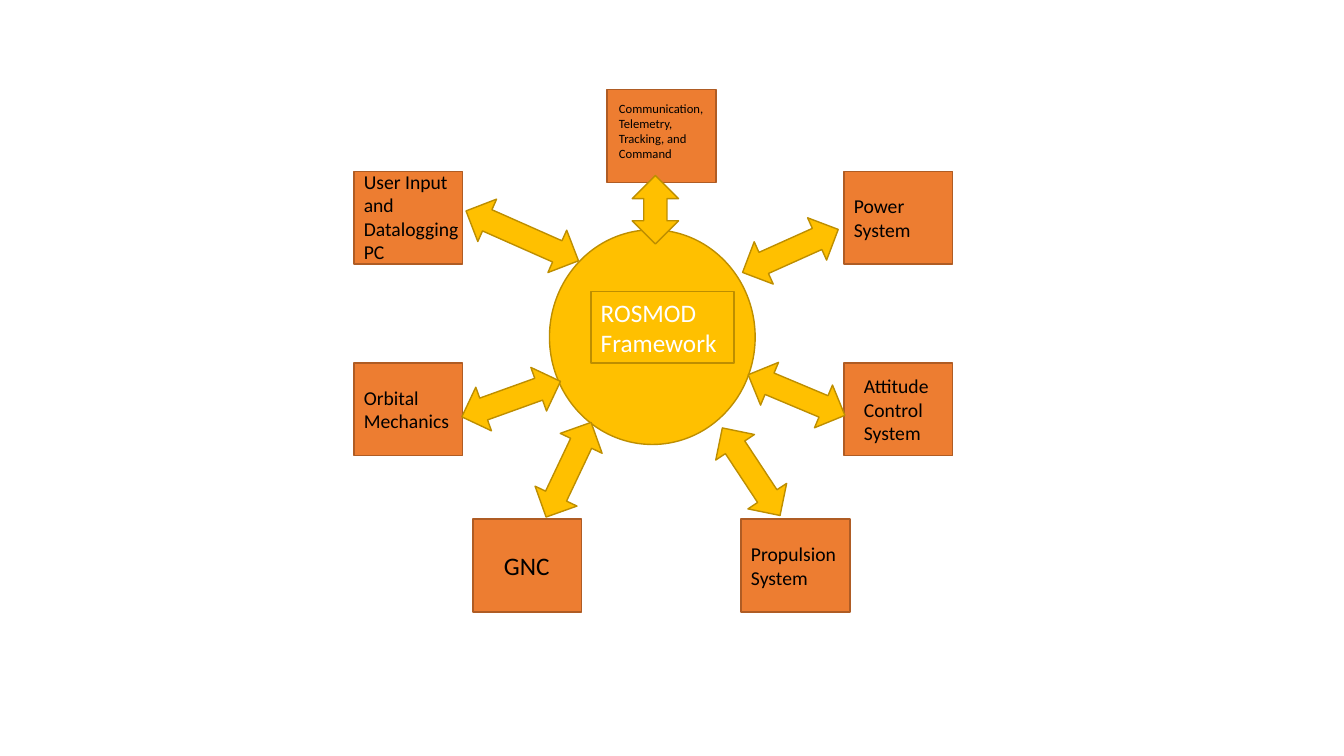
import pptx
import pptx.util
import pptx.dml.color
import pptx.enum.shapes
import pptx.enum.text
from dataclasses import dataclass

KIND = pptx.enum.shapes.MSO_SHAPE
CELL = 0.1  # inches per grid column and row


@dataclass(frozen=True)
class Theme:
    font: str = "Calibri"
    box: str = "ED7D31"
    rim: str = "AF5C24"
    gold: str = "FFC000"
    edge: str = "BD8E00"
    ink: str = "000000"
    white: str = "FFFFFF"
    big: int = 18
    mid: int = 14
    small: int = 9
    line: int = 1


THEME = Theme()
BOX_W, BOX_H, ARM_H = 10.8, 9.2, 4.6

# Module: lines, left, top, label shift (x, y), label width and height, size
MODULES = [
    (["GNC"], 46.9, 51.5, (2.1, 0), 6.5, 4, THEME.big),
    (["Orbital Mechanics"], 35.1, 36, (0, 0), BOX_W, 5.7, THEME.mid),
    (["Power System"], 83.7, 17, (0, 0), BOX_W, 5.7, THEME.mid),
    (["Propulsion System"], 73.5, 51.5, (0, 0), BOX_W, 5.7, THEME.mid),
    (["Attitude Control System"], 83.7, 36, (1, 0), BOX_W, 8.1, THEME.mid),
    (["Communication, Telemetry, Tracking, and Command"],
     60.2, 8.9, (0.2, -0.5), BOX_W, 7.1, THEME.small),
    (["User Input and ", "Datalogging PC"],
     35.1, 17, (0, -0.1), 12.1, 10.4, THEME.mid),
]

# Arrow: centre column, centre row, length, turn in degrees
ARROWS = [
    (51.8, 23.4, 12.2, 23.9),
    (50.7, 39.6, 10.4, -19.8),
    (56.4, 46.6, 10.4, -64.6),
    (74.5, 46.8, 10.4, 56.6),
    (79, 39.2, 10.4, 22.8),
    (78.4, 24.9, 10.4, -24.2),
    (65, 20.8, 6.8, 90),
]


def grid(*cells):
    return [pptx.util.Inches(n * CELL) for n in cells]


def tint(code):
    return pptx.dml.color.RGBColor.from_string(code)


def shape(host, kind, x, y, w, h, fill, line):
    item = host.shapes.add_shape(kind, *grid(x, y, w, h))
    item.shadow.inherit = False
    item.fill.solid()
    item.fill.fore_color.rgb = tint(fill)
    item.line.color.rgb = tint(line)
    item.line.width = pptx.util.Pt(THEME.line)
    return item


def write(item, lines, size, color):
    frame = item.text_frame
    frame.word_wrap = True
    frame.auto_size = pptx.enum.text.MSO_AUTO_SIZE.SHAPE_TO_FIT_TEXT
    frame.vertical_anchor = pptx.enum.text.MSO_ANCHOR.MIDDLE
    frame.text = "\n".join(lines)
    for para in frame.paragraphs:
        para.alignment = pptx.enum.text.PP_ALIGN.LEFT
        for run in para.runs:
            run.font.name = THEME.font
            run.font.size = pptx.util.Pt(size)
            run.font.color.rgb = tint(color)


def module(slide, lines, x, y, shift, w, h, size):
    group = slide.shapes.add_group_shape()
    shape(group, KIND.RECTANGLE, x, y, BOX_W, BOX_H, THEME.box, THEME.rim)
    top = y + (BOX_H - h) / 2 + shift[1]
    label = group.shapes.add_textbox(*grid(x + shift[0], top, w, h))
    write(label, lines, size=size, color=THEME.ink)


def hub(slide):
    group = slide.shapes.add_group_shape()
    shape(group, KIND.OVAL, 54.5, 22.8, 20.4, 21.3, THEME.gold, THEME.edge)
    label = shape(group, KIND.RECTANGLE, 58.6, 28.9, 14.2, 7.1,
                  THEME.gold, THEME.edge)
    write(label, ["ROSMOD Framework"], size=THEME.big, color=THEME.white)


def arrow(slide, x, y, length, turn):
    item = shape(slide, KIND.LEFT_RIGHT_ARROW, x - length / 2, y - ARM_H / 2,
                 length, ARM_H, THEME.gold, THEME.edge)
    item.rotation = turn


def main():
    deck = pptx.Presentation()
    deck.slide_width, deck.slide_height = grid(133.3, 75)
    slide = deck.slides.add_slide(deck.slide_layouts[6])

    # Subsystems, then the framework, then the links on top
    for entry in MODULES:
        module(slide, *entry)
    hub(slide)
    for entry in ARROWS:
        arrow(slide, *entry)

    deck.save("out.pptx")


main()
